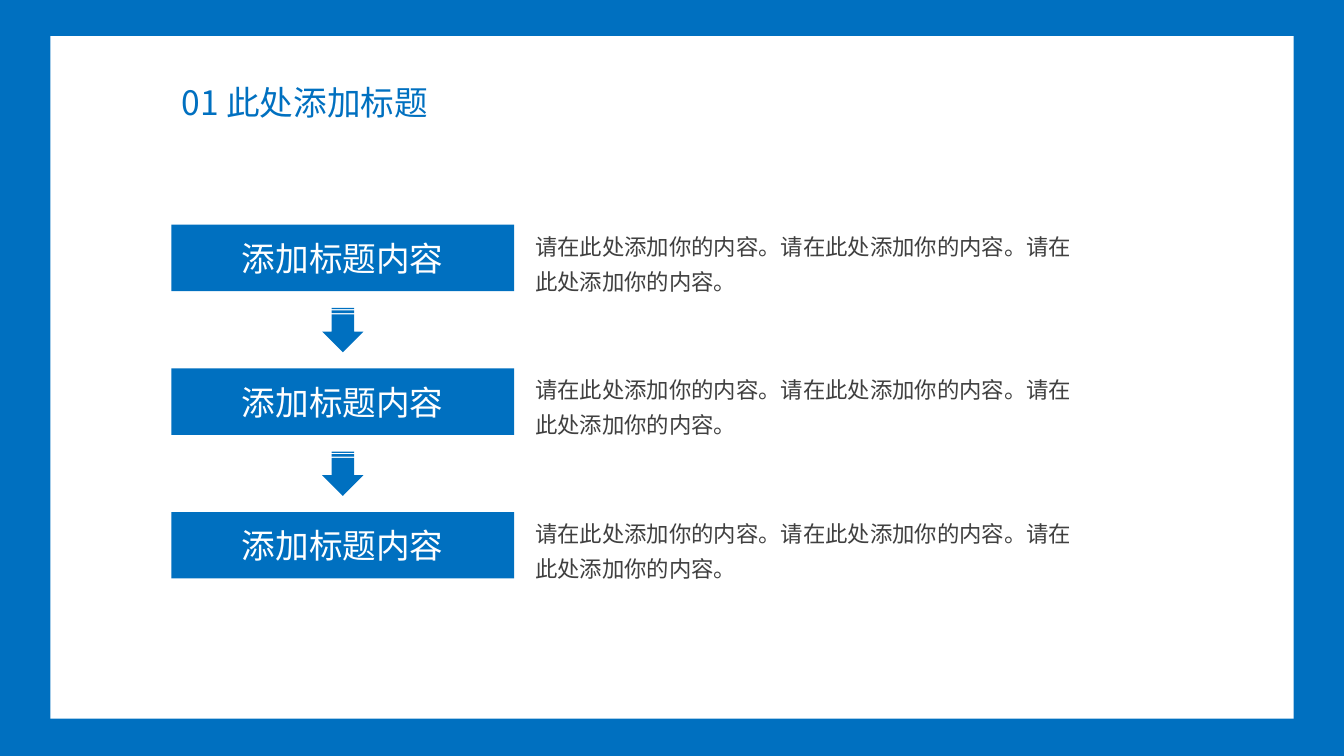
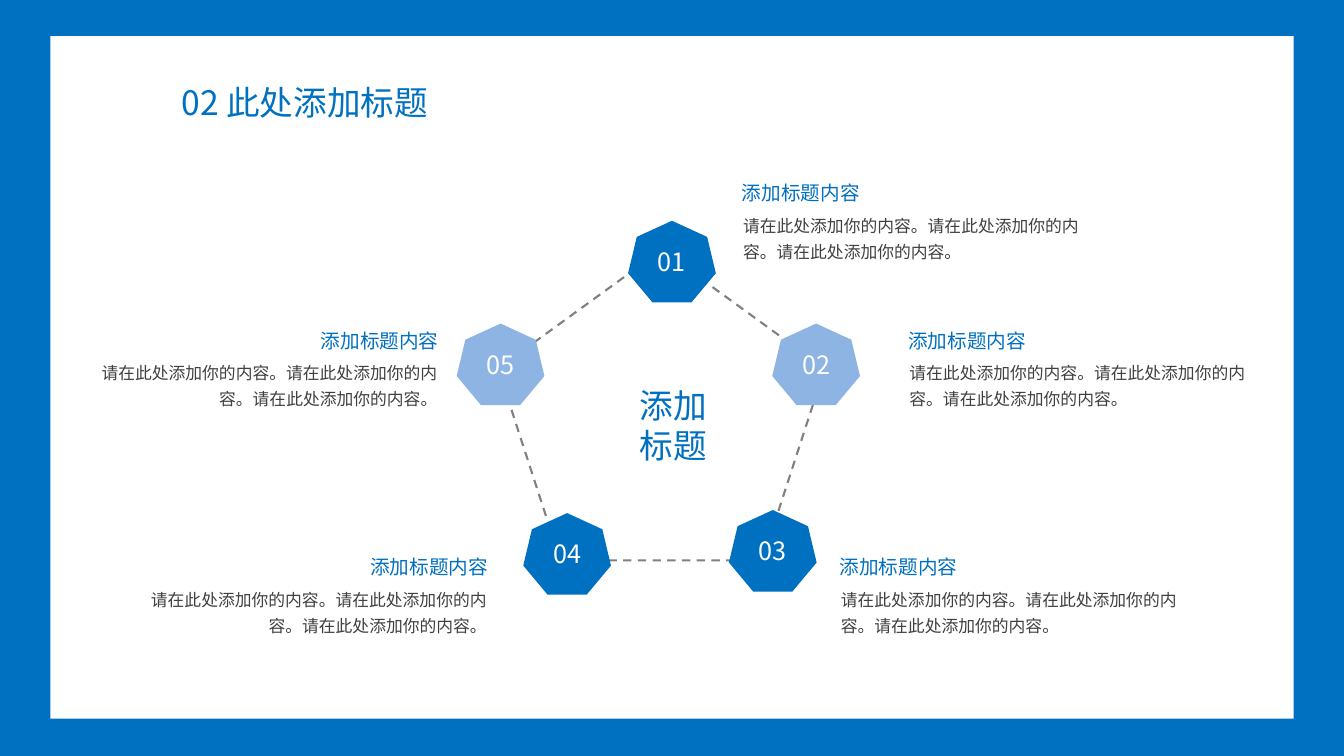
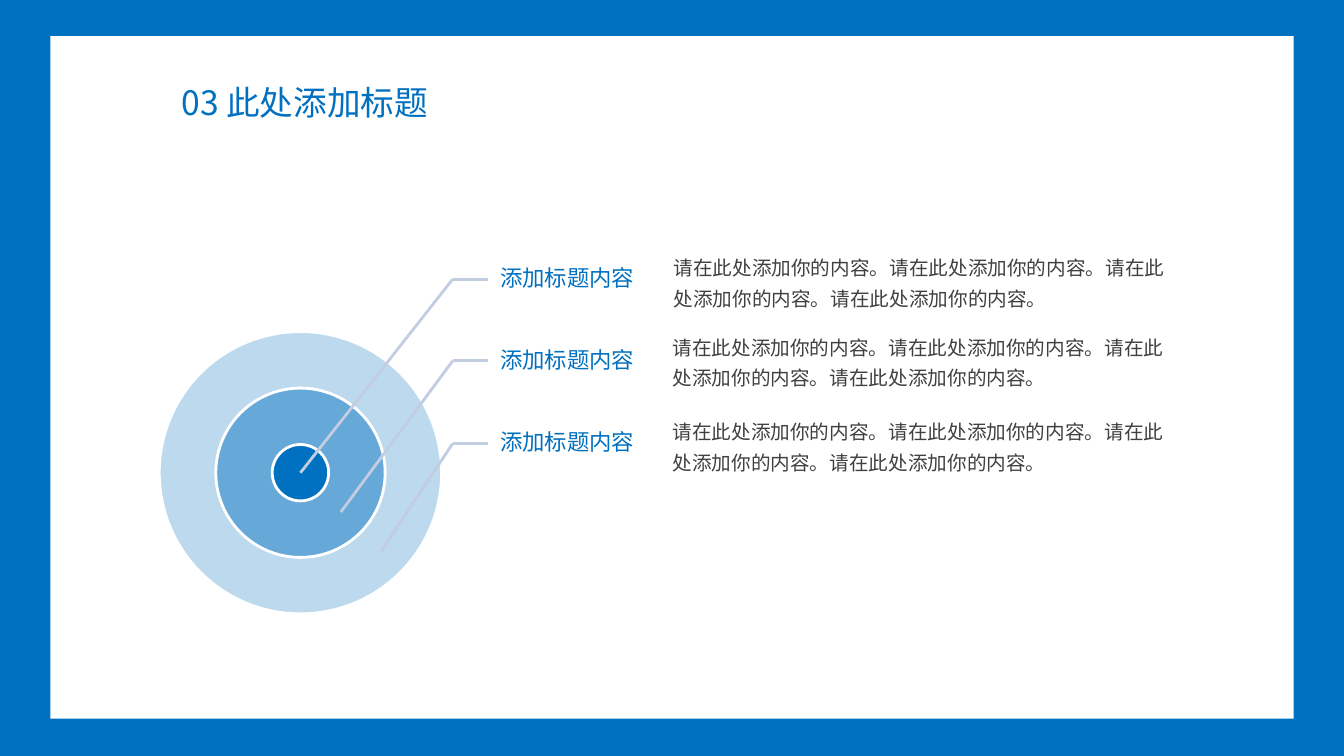
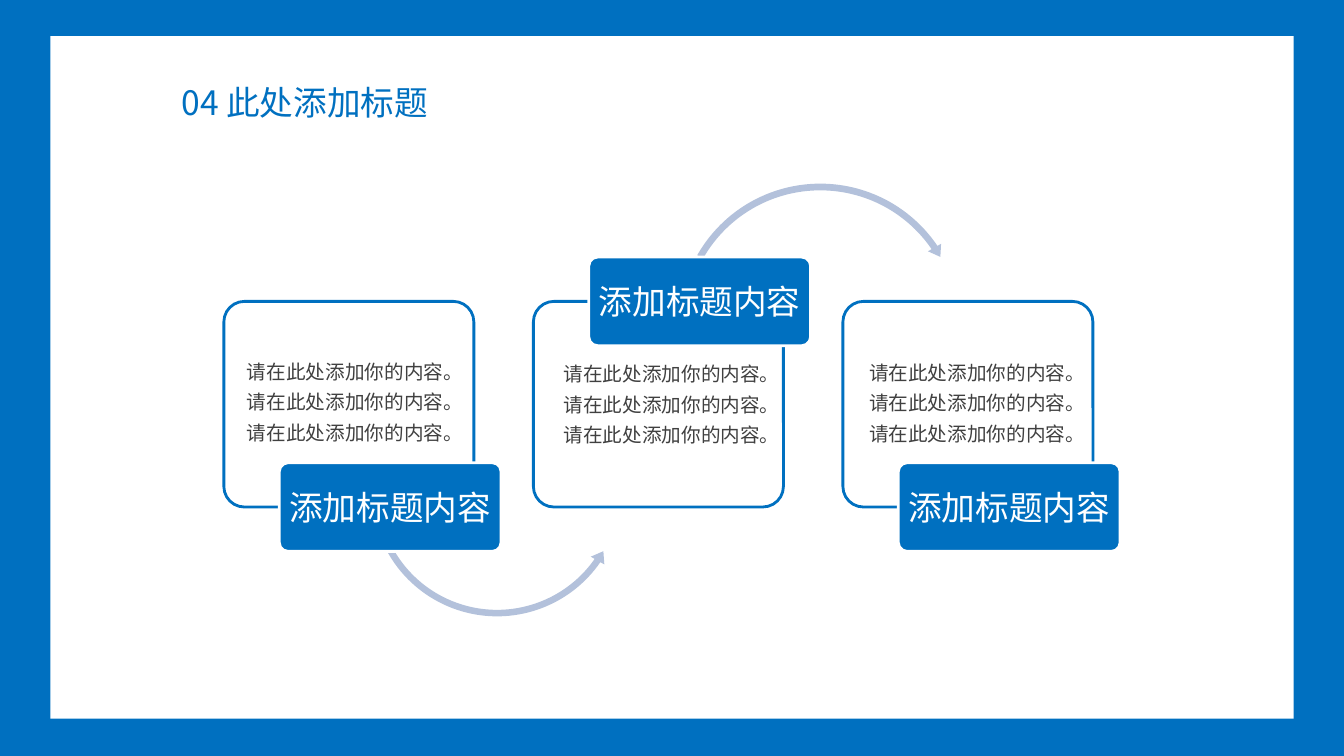
from lxml import etree
from pptx import Presentation
from pptx import util as u
from pptx.dml import color
from pptx.enum import dml, shapes, text
from pptx.oxml import ns

Inches, Pt = u.Inches, u.Pt
Shape = shapes.MSO_SHAPE
LEFT, CENTER, RIGHT = text.PP_ALIGN.LEFT, text.PP_ALIGN.CENTER, text.PP_ALIGN.RIGHT
TOP, MIDDLE = text.MSO_ANCHOR.TOP, text.MSO_ANCHOR.MIDDLE

FONT = "Noto Sans CJK SC"
BLUE, PALE, WHITE = "0070C0", "8EB4E3", "FFFFFF"
DARK, GRAY, LEADER, ARROW = "404040", "808080", "C2CDE1", "B3C1DB"
HEADING = "添加标题内容"
SENTENCE = "请在此处添加你的内容。"


def rgb(value):
    return color.RGBColor.from_string(value)


class Deck:
    def __init__(self):
        self.prs = Presentation()
        self.prs.slide_width, self.prs.slide_height = Inches(13.33), Inches(7.5)
        self.paint(self.prs.slide_master.background.fill, BLUE)
        self.s = None

    def paint(self, fill, value, alpha=None):
        if value is None:
            fill.background()
            return
        fill.solid()
        fill.fore_color.rgb = rgb(value)
        if alpha is not None:
            clr = fill._xPr.find(".//" + ns.qn("a:srgbClr"))
            etree.SubElement(clr, ns.qn("a:alpha")).set("val", str(alpha * 1000))

    def slide(self, title):
        self.s = self.prs.slides.add_slide(self.prs.slide_layouts[5])
        panel = self.shape(Shape.RECTANGLE, 0.5, 0.36, 12.33, 6.77, WHITE)
        self.s.shapes.element.insert(2, panel.element)
        sp = self.s.shapes.title
        sp.left, sp.top, sp.width, sp.height = map(Inches, (1.7, 0.76, 2.88, 0.5))
        self.set_text(sp, title, 24, BLUE, wrap=False)

    def set_text(self, sp, content, size, value, align=LEFT, anchor=MIDDLE,
                 spacing=None, margins=None, wrap=True):
        tf = sp.text_frame
        tf.text = content
        tf.word_wrap = wrap
        tf.vertical_anchor = anchor
        if margins is not None:
            tf.margin_left, tf.margin_top, tf.margin_right, tf.margin_bottom = map(Inches, margins)
        for p in tf.paragraphs:
            p.alignment = align
            if spacing:
                p.line_spacing = spacing
            for r in p.runs:
                r.font.size = Pt(size)
                r.font.color.rgb = rgb(value)
                r.font.name = FONT
                rpr = r._r.get_or_add_rPr()
                rpr.set("lang", "zh-CN")
                etree.SubElement(rpr, ns.qn("a:ea")).set("typeface", FONT)

    def text(self, x, y, w, h, content, size, value, anchor=TOP, **style):
        sp = self.s.shapes.add_textbox(*map(Inches, (x, y, w, h)))
        self.set_text(sp, content, size, value, anchor=anchor, **style)
        return sp

    def body(self, x, y, w, h, count, size, align=LEFT):
        self.text(x, y, w, h, SENTENCE * count, size, DARK, align=align,
                  spacing=1.3, margins=(0, 0, 0, 0))

    def shape(self, kind, x, y, w, h, fill=None, line=None, width=2, alpha=None, adj=()):
        sp = self.s.shapes.add_shape(kind, *map(Inches, (x, y, w, h)))
        sp.shadow.inherit = False
        for i, value in enumerate(adj):
            sp.adjustments[i] = value
        self.paint(sp.fill, fill, alpha)
        self.paint(sp.line.fill, line)
        if line:
            sp.line.width = Pt(width)
        return sp

    def label(self, sp, content, size):
        self.set_text(sp, content, size, WHITE, align=CENTER, margins=(0, 0, 0, 0))

    def line(self, x1, y1, x2, y2, value):
        cn = self.s.shapes.add_connector(shapes.MSO_CONNECTOR.STRAIGHT,
                                         *map(Inches, (x1, y1, x2, y2)))
        cn.line.color.rgb = rgb(value)
        cn.line.width = Pt(2)
        etree.SubElement(cn.element.spPr, ns.qn("a:effectLst"))
        return cn


def steps(deck):
    deck.slide("01 此处添加标题")
    for i in range(3):
        y = 2.23 + i * 1.425
        deck.label(deck.shape(Shape.RECTANGLE, 1.7, y, 3.4, 0.66, BLUE), HEADING, 24)
        deck.body(5.31, y, 5.34, 0.67, 3, 16)
        if i < 2:
            arrow = deck.shape(Shape.STRIPED_RIGHT_ARROW, 3.18, y + 0.84, 0.44, 0.41,
                               BLUE, adj=(0.54, 0.5))
            arrow.rotation = 90


def pentagon(deck):
    deck.slide("02 此处添加标题")
    deck.text(5.34, 3.77, 2.68, 0.91, "添加\n标题", 24, BLUE, align=CENTER)
    ring = deck.shape(Shape.REGULAR_PENTAGON, 4.94, 2.48, 3.24, 3.08, line=GRAY, width=1.5)
    ring.line.dash_style = dml.MSO_LINE.DASH
    nodes = [
        (6.23, 2.19, BLUE, 7.37, 1.75, LEFT),
        (7.66, 3.21, PALE, 9.02, 3.21, LEFT),
        (7.23, 5.06, BLUE, 8.34, 5.46, LEFT),
        (5.19, 5.09, BLUE, 4.83, 5.46, RIGHT),
        (4.53, 3.21, PALE, 4.34, 3.21, RIGHT),
    ]
    for i, (x, y, fill, edge, top, align) in enumerate(nodes, 1):
        deck.label(deck.shape(Shape.HEPTAGON, x, y, 0.87, 0.81, fill), f"{i:02}", 18)
        head, body = (edge - 0.11, edge) if align == LEFT else (edge - 2.57, edge - 3.43)
        deck.text(head, top, 2.68, 0.34, HEADING, 14, BLUE, align=align)
        deck.body(body, top + 0.33, 3.43, 0.5, 3, 12, align)


def target(deck):
    deck.slide("03 此处添加标题")
    cx, cy = 2.98, 4.69
    for size, alpha in ((2.8, 26), (1.68, 46), (0.56, None)):
        deck.shape(Shape.OVAL, cx - size / 2, cy - size / 2, size, size, BLUE, WHITE, alpha=alpha)
    rows = [(2.77, cx, cy, 6.68, 2.47), (3.58, 3.38, 5.08, 6.67, 3.26), (4.4, 3.78, 5.47, 6.67, 4.1)]
    for y, tip_x, tip_y, body_x, body_y in rows:
        name = deck.text(4.84, y - 0.41, 1.55, 0.82, HEADING, 16, BLUE, anchor=MIDDLE,
                         spacing=0.9, margins=(0.12, 0.02, 0.02, 0.02))
        deck.line(4.49, y, 4.84, y, LEADER).end_connect(name, 1)
        deck.line(4.49, y, tip_x, tip_y, LEADER)
        deck.body(body_x, body_y, 5.06, 0.58, 4, 14)


def cards(deck):
    deck.slide("04 此处添加标题")
    arrows = [
        (Shape.LEFT_CIRCULAR_ARROW, 3.64, 3.58, 2.58, (0.025, 3.094, 20.849, 90.245, 0.03)),
        (Shape.CIRCULAR_ARROW, 6.69, 1.78, 2.89, (0.023, 2.738, 195.507, 125.755, 0.026)),
    ]
    for kind, x, y, size, adj in arrows:
        deck.shape(kind, x, y, size, size, ARROW, adj=adj)
    columns = [(4.59, 2.45, 3.5), (2.55, 5.59, 3.52), (4.59, 8.62, 3.51)]
    for i, (tag_y, body_x, body_y) in enumerate(columns):
        x = 2.22 + i * 3.07
        deck.shape(Shape.ROUNDED_RECTANGLE, x, 2.99, 2.48, 2.04, WHITE, BLUE, alpha=90, adj=(0.1,))
        tag = deck.shape(Shape.ROUNDED_RECTANGLE, x + 0.55, tag_y, 2.2, 0.88, BLUE, WHITE, adj=(0.1,))
        deck.label(tag, HEADING, 24)
        deck.body(body_x, body_y, 2.2, 0.92, 3, 14)


def main():
    deck = Deck()
    for build in (steps, pentagon, target, cards):
        build(deck)
    deck.prs.save("out.pptx")


if __name__ == "__main__":
    main()
